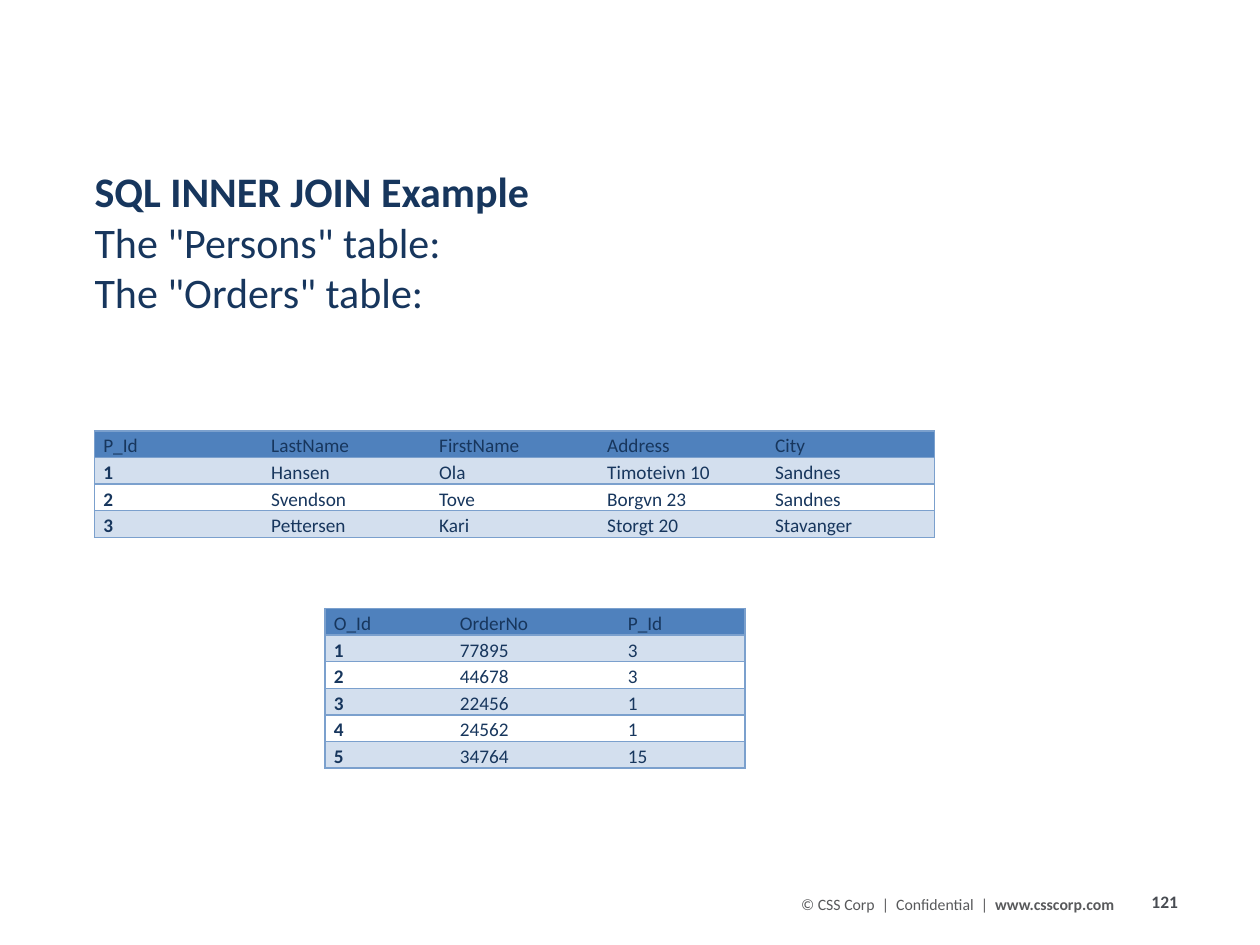
from lxml import etree
from pptx import Presentation
from pptx.dml.color import RGBColor
from pptx.enum import text
from pptx.oxml import ns
from pptx.util import Inches, Pt

NAVY = "17365D"
BORDER = "7BA0CD"
HEADER_FILL = "4F81BD"
BAND_FILL = "D3DFEE"
ROW_HEIGHT = 0.21

PERSONS = [
    ["P_Id", "LastName", "FirstName", "Address", "City"],
    ["1", "Hansen", "Ola", "Timoteivn 10", "Sandnes"],
    ["2", "Svendson", "Tove", "Borgvn 23", "Sandnes"],
    ["3", "Pettersen", "Kari", "Storgt 20", "Stavanger"],
]
ORDERS = [
    ["O_Id", "OrderNo", "P_Id"],
    ["1", "77895", "3"],
    ["2", "44678", "3"],
    ["3", "22456", "1"],
    ["4", "24562", "1"],
    ["5", "34764", "15"],
]


def rgb(color):
    return RGBColor.from_string(color)


def add_run(p, content, size=11, color=NAVY, bold=False):
    r = p.add_run()
    r.text = content
    r.font.name = "Calibri"
    r.font.size = Pt(size)
    r.font.bold = bold
    r.font.color.rgb = rgb(color)


def add_text(slide, left, top, width, height, paragraphs, wrap=True, inset=0.1,
             anchor=text.MSO_ANCHOR.TOP, **fmt):
    """Add a text box; each paragraph is a list of (content, bold) runs."""
    box = slide.shapes.add_textbox(Inches(left), Inches(top), Inches(width), Inches(height))
    tf = box.text_frame
    tf.word_wrap = wrap
    tf.vertical_anchor = anchor
    tf.margin_left = tf.margin_right = Inches(inset)
    for i, runs in enumerate(paragraphs):
        p = tf.add_paragraph() if i else tf.paragraphs[0]
        for content, bold in runs:
            add_run(p, content, bold=bold, **fmt)


def set_borders(cell, sides):
    """Draw the given sides (of L, R, T, B) and clear the others."""
    tc_pr = cell._tc.get_or_add_tcPr()
    for side in "LRTB":
        ln = etree.SubElement(tc_pr, ns.qn(f"a:ln{side}"), w=str(Pt(1)))
        if side in sides:
            fill = etree.SubElement(ln, ns.qn("a:solidFill"))
            etree.SubElement(fill, ns.qn("a:srgbClr"), val=BORDER)
        else:
            etree.SubElement(ln, ns.qn("a:noFill"))


def fill_cell(cell, color):
    if color:
        cell.fill.solid()
        cell.fill.fore_color.rgb = rgb(color)
    else:
        cell.fill.background()


def add_data_table(slide, left, top, widths, rows):
    frame = slide.shapes.add_table(len(rows), len(widths), Inches(left), Inches(top),
                                   Inches(sum(widths)), Inches(ROW_HEIGHT * len(rows)))
    table = frame.table
    table.first_row = table.horz_banding = False
    for column, width in zip(table.columns, widths):
        column.width = Inches(width)
    for i, row in enumerate(rows):
        table.rows[i].height = Inches(ROW_HEIGHT)
        row_fill = HEADER_FILL if i == 0 else BAND_FILL if i % 2 else None
        for j, value in enumerate(row):
            cell = table.cell(i, j)
            cell.margin_left = cell.margin_right = Inches(0.07)
            cell.margin_top = cell.margin_bottom = 0
            p = cell.text_frame.paragraphs[0]
            p.line_spacing = 1.15
            add_run(p, value, bold=i > 0 and j == 0)
            left_side = "L" if j == 0 else ""
            right_side = "R" if j == len(row) - 1 else ""
            set_borders(cell, "TB" + left_side + right_side)
            fill_cell(cell, row_fill)


def main():
    prs = Presentation()
    prs.slide_width, prs.slide_height = Inches(10), Inches(7.5)
    slide = prs.slides.add_slide(prs.slide_layouts[6])

    add_text(slide, 9.04, 7.02, 0.79, 0.27, [[("121", True)]],
             wrap=False, size=10, color="484C52")
    add_text(slide, 6.26, 7.05, 3.08, 0.25,
             [[("© CSS Corp  |  Confidential  |  ", False), ("www.csscorp.com", True)]],
             size=9, color="58595B")
    add_data_table(slide, 0.75, 3.42, [4 / 3] * 5, PERSONS)
    add_data_table(slide, 2.58, 4.83, [1, 4 / 3, 1], ORDERS)
    add_text(slide, 0.75, 1.26, 6.42, 1.31,
             [[("SQL INNER JOIN Example", True)],
              [('The "Persons" table:', False)],
              [('The "Orders" table:', False)]],
             inset=0, anchor=text.MSO_ANCHOR.MIDDLE, size=24)

    prs.save("out.pptx")


if __name__ == "__main__":
    main()
